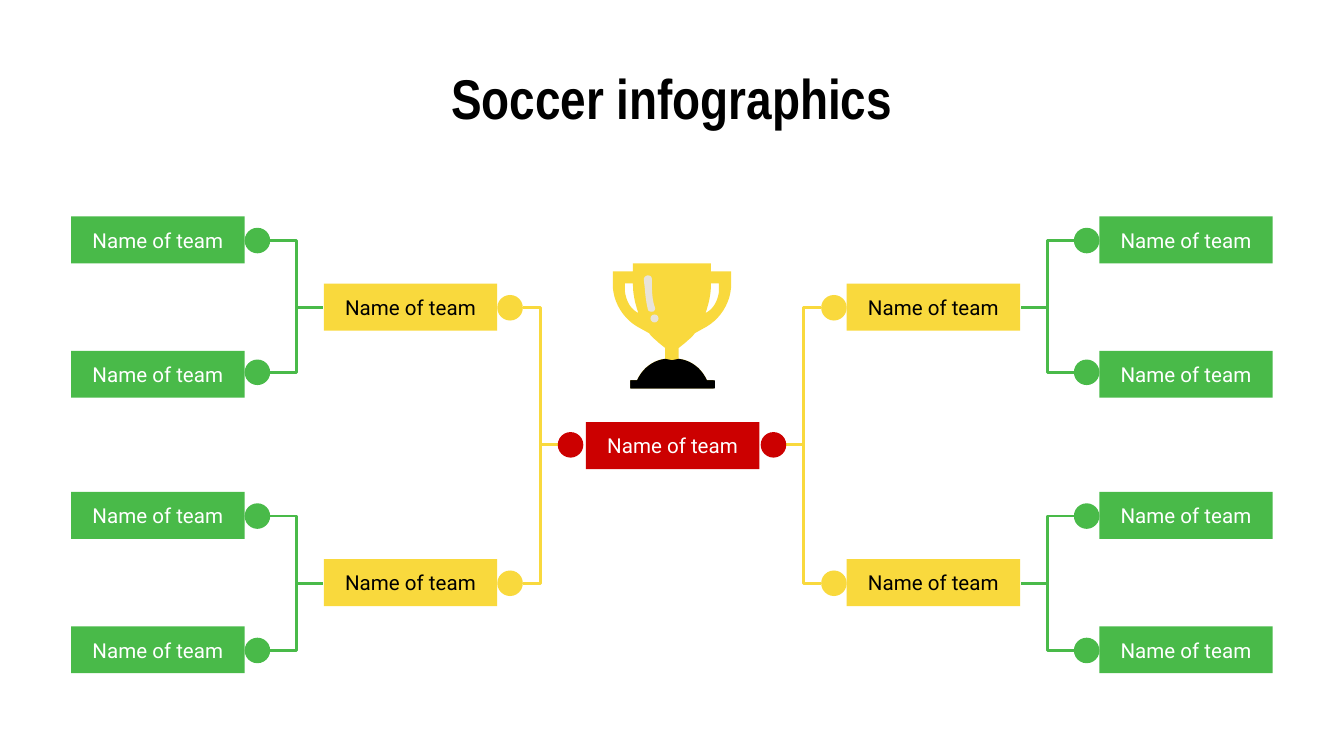
from typing import NamedTuple

from lxml import etree
from pptx import Presentation
from pptx.dml.color import RGBColor
from pptx.enum.shapes import MSO_CONNECTOR, MSO_SHAPE
from pptx.enum.text import MSO_ANCHOR, PP_ALIGN
from pptx.oxml.ns import qn
from pptx.util import Inches, Pt

RECT, OVAL = MSO_SHAPE.RECTANGLE, MSO_SHAPE.OVAL
ELBOW = MSO_CONNECTOR.ELBOW
CENTER, MIDDLE = PP_ALIGN.CENTER, MSO_ANCHOR.MIDDLE

GREEN = RGBColor(0x49, 0xBA, 0x49)
YELLOW = RGBColor(0xF9, 0xD9, 0x3D)
RED = RGBColor(0xCC, 0x00, 0x00)
SHINE = RGBColor(0xE8, 0xE3, 0xD9)
BLACK = RGBColor(0x00, 0x00, 0x00)
WHITE = RGBColor(0xFF, 0xFF, 0xFF)

SLIDE_W = 10
SLIDE_H = SLIDE_W * 9 / 16
AXIS = SLIDE_W / 2
LABEL_W, LABEL_H, DOT = 1.29, 0.35, 0.19
CURVE_STEPS = 10

Point = tuple[float, float]


class Round(NamedTuple):
    """A column of the right half of the bracket; the left half mirrors it."""
    label_x: float
    dot_x: float
    label_tops: list[float]
    dot_centers: list[float]
    fill: RGBColor
    ink: RGBColor


class Link(NamedTuple):
    """Elbows of the right half, from one inner team to two outer ones."""
    x1: float
    x2: float
    y1: float
    ends: list[float]
    color: RGBColor


QUARTERS = Round(8.18, 7.99, [1.61, 2.61, 3.66, 4.66], [1.79, 2.77, 3.84, 4.84],
                 GREEN, WHITE)
SEMIS = Round(6.3, 6.11, [2.11, 4.16], [2.29, 4.34], YELLOW, BLACK)
FINAL_TOP, FINAL_Y = 3.14, 3.31

LINKS = [
    Link(5.85, SEMIS.dot_x, FINAL_Y, SEMIS.dot_centers, YELLOW),
    Link(7.6, QUARTERS.dot_x, SEMIS.dot_centers[0], QUARTERS.dot_centers[:2], GREEN),
    Link(7.6, QUARTERS.dot_x, SEMIS.dot_centers[1], QUARTERS.dot_centers[2:], GREEN),
]

# Trophy outlines: two numbers are a corner, six are a Bezier curve.
BASE_HALF = [(4.95, 2.67), (4.86, 2.68, 4.78, 2.74, 4.74, 2.83),
             (4.69, 2.83), (4.69, 2.89)]
CUP_HALF = [(4.71, 1.96), (4.71, 2.02), (4.56, 2.02), (4.56, 2.14),
            (4.57, 2.26, 4.64, 2.37, 4.74, 2.43), (4.83, 2.48),
            (4.85, 2.51, 4.88, 2.53, 4.9, 2.55), (4.95, 2.59)] + BASE_HALF
HANDLE_HOLE = [(4.71, 2.11), (4.71, 2.12), (4.71, 2.2, 4.73, 2.27, 4.75, 2.33),
               (4.69, 2.3, 4.66, 2.24, 4.65, 2.17), (4.65, 2.11)]
STREAK = [(4.82, 2.05), (4.81, 2.05, 4.79, 2.06, 4.79, 2.08),
          (4.8, 2.15, 4.8, 2.22, 4.82, 2.3), (4.82, 2.31, 4.83, 2.32, 4.85, 2.32),
          (4.87, 2.32, 4.88, 2.3, 4.87, 2.28), (4.85, 2.22, 4.85, 2.14, 4.85, 2.08),
          (4.85, 2.06, 4.84, 2.05, 4.82, 2.05)]


def flatten(path: list[tuple]) -> list[Point]:
    """Turn corners and Bezier curves into a list of points."""
    points = []
    for step in path:
        if len(step) == 2:
            points.append(step)
            continue
        x0, y0 = points[-1]
        x1, y1, x2, y2, x3, y3 = step
        for i in range(1, CURVE_STEPS + 1):
            t = i / CURVE_STEPS
            a, b, c, d = (1 - t) ** 3, 3 * t * (1 - t) ** 2, 3 * t * t * (1 - t), t ** 3
            points.append((a * x0 + b * x1 + c * x2 + d * x3,
                           a * y0 + b * y1 + c * y2 + d * y3))
    return points


def mirror(points: list[Point]) -> list[Point]:
    return [(SLIDE_W - x, y) for x, y in reversed(points)]


def paint(sp, fill: RGBColor) -> None:
    sp.shadow.inherit = False
    sp.fill.solid()
    sp.fill.fore_color.rgb = fill
    sp.line.fill.background()


def add_outline(shapes, contours: list[list[Point]], fill: RGBColor) -> None:
    first, *rest = [[(Inches(x), Inches(y)) for x, y in c] for c in contours]
    builder = shapes.build_freeform(*first[0])
    builder.add_line_segments(first[1:], close=True)
    for contour in rest:
        builder.move_to(*contour[0])
        builder.add_line_segments(contour[1:], close=True)
    paint(builder.convert_to_shape(), fill)


def add_block(shapes, kind, x: float, y: float, w: float, h: float, fill: RGBColor):
    sp = shapes.add_shape(kind, Inches(x), Inches(y), Inches(w), Inches(h))
    paint(sp, fill)
    return sp


def write(sp, text: str, font: str, size: int, color: RGBColor, bold: bool = False):
    tf = sp.text_frame
    tf.word_wrap = True
    tf.margin_left = tf.margin_right = tf.margin_top = tf.margin_bottom = Inches(0.1)
    tf.text = text
    p = tf.paragraphs[0]
    p.alignment = CENTER
    r = p.runs[0]
    r.font.name, r.font.size, r.font.bold = font, Pt(size), bold
    r.font.color.rgb = color
    return tf


def add_team(shapes, x: float, top: float, fill: RGBColor, ink: RGBColor) -> None:
    sp = add_block(shapes, RECT, x, top, LABEL_W, LABEL_H, fill)
    write(sp, "Name of team", "Roboto", 11, ink).vertical_anchor = MIDDLE


def add_dot(shapes, x: float, center: float, fill: RGBColor) -> None:
    add_block(shapes, OVAL, x, center - DOT / 2, DOT, DOT, fill)


def add_elbow(shapes, x1: float, y1: float, x2: float, y2: float, color: RGBColor) -> None:
    line = shapes.add_connector(ELBOW, Inches(x1), Inches(y1), Inches(x2), Inches(y2))
    line.line.color.rgb = color
    line.line.width = Pt(1.5)
    etree.SubElement(line._element.spPr, qn("a:effectLst"))


def add_trophy(shapes) -> None:
    cup, hole, base = flatten(CUP_HALF), flatten(HANDLE_HOLE), flatten(BASE_HALF)
    add_outline(shapes, [cup + mirror(cup), hole, mirror(hole)], YELLOW)
    add_outline(shapes, [flatten(STREAK)], SHINE)
    add_block(shapes, OVAL, 4.84, 2.34, 0.06, 0.06, SHINE)
    add_outline(shapes, [[(AXIS, 2.68)] + base + mirror(base)], BLACK)
    add_block(shapes, RECT, 4.69, 2.83, 0.63, 0.06, BLACK)


def add_bracket(shapes) -> None:
    for link in LINKS:
        for y2 in link.ends:
            add_elbow(shapes, link.x1, link.y1, link.x2, y2, link.color)
            add_elbow(shapes, SLIDE_W - link.x1, link.y1, SLIDE_W - link.x2, y2, link.color)
    for stage in (QUARTERS, SEMIS):
        for top, center in zip(stage.label_tops, stage.dot_centers):
            for x in (stage.label_x, SLIDE_W - stage.label_x - LABEL_W):
                add_team(shapes, x, top, stage.fill, stage.ink)
            for x in (stage.dot_x, SLIDE_W - stage.dot_x - DOT):
                add_dot(shapes, x, center, stage.fill)
    add_team(shapes, 4.36, FINAL_TOP, RED, WHITE)
    for x in (4.15, 5.66):
        add_dot(shapes, x, FINAL_Y, RED)


def main() -> None:
    prs = Presentation()
    prs.slide_width, prs.slide_height = Inches(SLIDE_W), Inches(SLIDE_H)
    shapes = prs.slides.add_slide(prs.slide_layouts[6]).shapes
    title = shapes.add_textbox(Inches(0.78), Inches(0.59), Inches(8.44), Inches(0.45))
    tf = write(title, "Soccer infographics", "Arial Narrow", 30, BLACK, bold=True)
    tf.paragraphs[0].line_spacing = 0.5
    add_trophy(shapes)
    add_bracket(shapes)
    prs.save("out.pptx")


if __name__ == "__main__":
    main()
